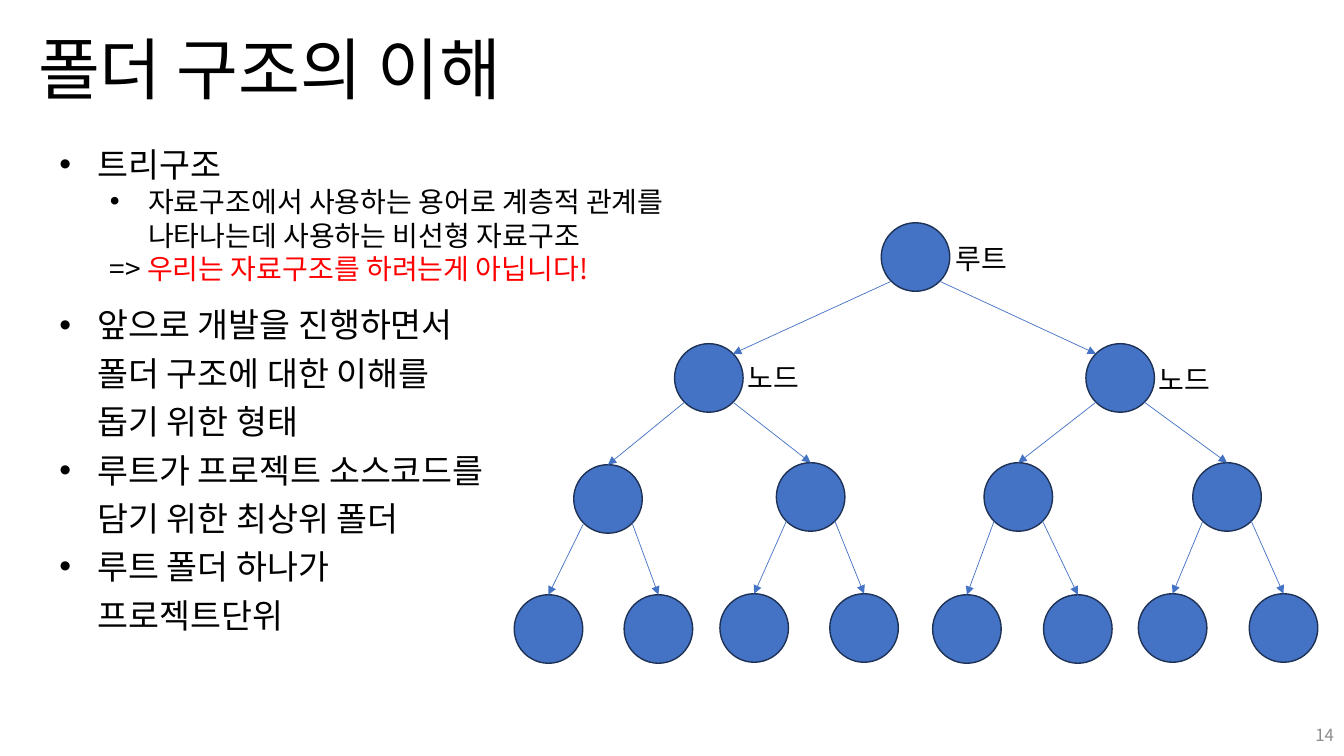
from dataclasses import dataclass
from math import sqrt

from lxml.etree import SubElement
from pptx import Presentation
from pptx.dml.color import RGBColor
from pptx.enum.shapes import MSO_CONNECTOR, MSO_SHAPE
from pptx.enum.text import MSO_ANCHOR, MSO_AUTO_SIZE, PP_ALIGN
from pptx.oxml.ns import qn
from pptx.util import Inches, Pt


@dataclass(frozen=True)
class Theme:
    font: str = "Noto Sans CJK KR"
    black: str = "000000"
    red: str = "FF0000"
    gray: str = "8C8C8C"
    blue: str = "4472C4"
    navy: str = "1E3256"
    title: int = 48
    body: int = 24
    small: int = 20
    page: int = 12


@dataclass(frozen=True)
class Run:
    text: str
    size: int
    color: str = Theme.black


@dataclass(frozen=True)
class Para:
    runs: tuple
    level: int = 0
    margin: float = 0
    hang: float = 0
    bullet: bool = False
    spacing: float = 1.0
    align: PP_ALIGN = PP_ALIGN.LEFT


@dataclass(frozen=True)
class Box:
    left: float
    top: float
    width: float
    height: float
    paras: tuple
    wrap: bool = True
    anchor: MSO_ANCHOR = MSO_ANCHOR.TOP
    grow: bool = False


@dataclass(frozen=True)
class Node:
    left: float
    top: float


THEME = Theme()
SIZE = 0.68  # node diameter


def add_run(para, item: Run) -> None:
    run = para.add_run()
    run.text = item.text
    font = run.font
    font.size = Pt(item.size)
    font.color.rgb = RGBColor.from_string(item.color)
    font.name = THEME.font
    SubElement(font._element, qn("a:ea"), typeface=THEME.font)


def add_para(para, item: Para) -> None:
    para.level = item.level
    para.alignment = item.align
    para.line_spacing = item.spacing
    props = para._p.get_or_add_pPr()
    props.set("marL", str(Inches(item.margin)))
    props.set("indent", str(Inches(-item.hang)))
    if item.bullet:
        SubElement(props, qn("a:buFont"), typeface="Arial")
        SubElement(props, qn("a:buChar"), char="•")
    for i, run in enumerate(item.runs):
        if run.text.startswith("\n"):
            para.add_line_break()
        add_run(para, Run(run.text.lstrip("\n"), run.size, run.color))


def add_box(slide, box: Box) -> None:
    shape = slide.shapes.add_textbox(
        Inches(box.left), Inches(box.top), Inches(box.width), Inches(box.height))
    frame = shape.text_frame
    frame.word_wrap = box.wrap
    frame.vertical_anchor = box.anchor
    if box.grow:
        frame.auto_size = MSO_AUTO_SIZE.SHAPE_TO_FIT_TEXT
    for i, item in enumerate(box.paras):
        add_para(frame.add_paragraph() if i else frame.paragraphs[0], item)


def add_node(slide, node: Node):
    shape = slide.shapes.add_shape(
        MSO_SHAPE.OVAL, Inches(node.left), Inches(node.top), Inches(SIZE), Inches(SIZE))
    shape.shadow.inherit = False
    shape.fill.solid()
    shape.fill.fore_color.rgb = RGBColor.from_string(THEME.blue)
    shape.line.color.rgb = RGBColor.from_string(THEME.navy)
    shape.line.width = Pt(1)
    return shape


def add_edge(slide, node: Node, child: Node, shape, side: int, diagonal: bool) -> None:
    """Join a node's lower diagonal point to its child; side is -1 or 1."""
    half = SIZE / 2
    reach = half / sqrt(2)
    start_x, start_y = node.left + half + side * reach, node.top + half + reach
    end_x, end_y = child.left + half, child.top
    if diagonal:
        end_x, end_y = end_x - side * reach, child.top + half - reach
    line = slide.shapes.add_connector(
        MSO_CONNECTOR.STRAIGHT,
        Inches(start_x), Inches(start_y), Inches(end_x), Inches(end_y))
    if not diagonal:
        line.end_connect(shape, 0)
    line.line.color.rgb = RGBColor.from_string(THEME.blue)
    line.line.width = Pt(0.5)
    SubElement(line.line._get_or_add_ln(), qn("a:tailEnd"), type="triangle")
    SubElement(line._element.spPr, qn("a:effectLst"))


def bullet(text: str, spacing: float = 1.0) -> Para:
    return Para((Run(text, THEME.body),), margin=0.38, hang=0.38,
                bullet=True, spacing=spacing)


def label(left: float, top: float, text: str) -> Box:
    return Box(left, top, 0.74, 0.44, (Para((Run(text, THEME.small),)),),
               wrap=False, grow=True)


# Tree level by level: the children of node i are 2i + 1 and 2i + 2
NODES = (
    Node(8.74, 2.21),
    Node(6.69, 3.41), Node(10.77, 3.41),
    Node(5.69, 4.61), Node(7.7, 4.59), Node(9.76, 4.59), Node(11.83, 4.59),
    Node(5.1, 5.9), Node(6.19, 5.9), Node(7.14, 5.89), Node(8.23, 5.89),
    Node(9.25, 5.9), Node(10.35, 5.9), Node(11.29, 5.89), Node(12.39, 5.89),
)

BOXES = (
    # Title
    Box(0.28, 0, 11.5, 1.45,
        (Para((Run("폴더 구조의 이해", THEME.title),), spacing=0.9),),
        anchor=MSO_ANCHOR.MIDDLE),
    # What a tree is
    Box(0.49, 1.38, 6.61, 1.51, (
        bullet("트리구조"),
        Para((Run("자료구조에서 사용하는 용어로 계층적 관계를 ", THEME.small),
              Run("\n나타나는데 사용하는 비선형 자료구조", THEME.small)),
             level=1, margin=0.88, hang=0.38, bullet=True),
        Para((Run("=> ", THEME.small),
              Run("우리는 자료구조를 하려는게 아닙니다!", THEME.small, THEME.red)),
             level=1, margin=0.5),
    ), wrap=False, grow=True),
    # Why it matters
    Box(0.49, 2.89, 4.44, 3.93, (
        bullet("앞으로 개발을 진행하면서 폴더 구조에 대한 이해를 돕기 위한 형태", 1.2),
        bullet("루트가 프로젝트 소스코드를 담기 위한 최상위 폴더", 1.2),
        bullet("루트 폴더 하나가 프로젝트단위", 1.2),
    ), grow=True),
    # Node labels
    label(9.38, 2.35, "루트"),
    label(7.32, 3.53, "노드"),
    label(11.39, 3.55, "노드"),
    # Page number
    Box(10.33, 7.09, 3, 0.4,
        (Para((Run("14", THEME.page, THEME.gray),), align=PP_ALIGN.RIGHT),),
        anchor=MSO_ANCHOR.MIDDLE),
)


def main() -> None:
    deck = Presentation()
    deck.slide_width, deck.slide_height = Inches(13.33), Inches(7.5)
    slide = deck.slides.add_slide(deck.slide_layouts[6])
    # Nodes, then the arrows from each parent
    shapes = [add_node(slide, node) for node in NODES]
    for i in range(1, len(NODES)):
        side = -1 if i % 2 else 1
        add_edge(slide, NODES[(i - 1) // 2], NODES[i], shapes[i], side, diagonal=i < 3)
    # Text
    for box in BOXES:
        add_box(slide, box)
    deck.save("out.pptx")


if __name__ == "__main__":
    main()
